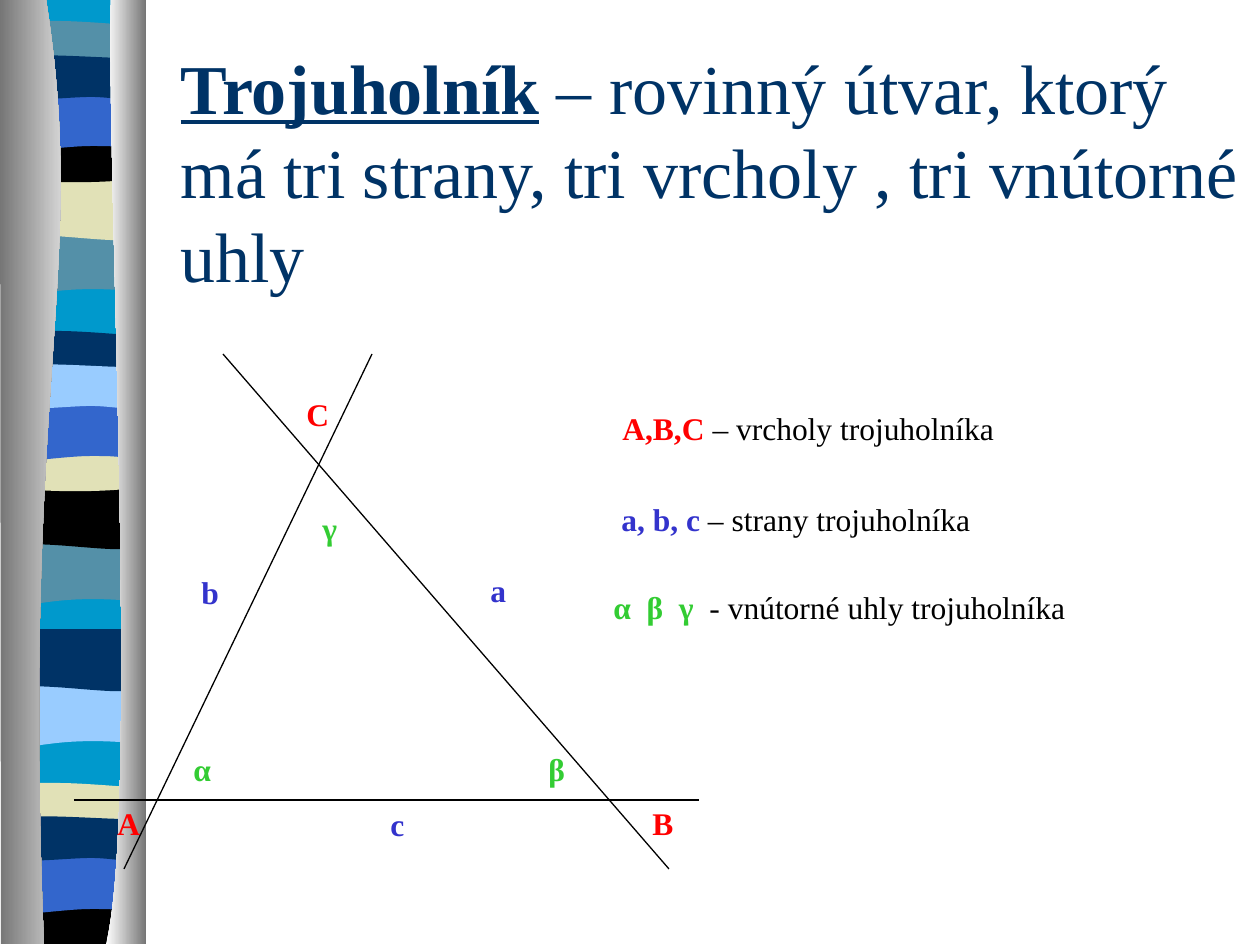
import pptx
import pptx.dml.color
import pptx.enum.shapes
import pptx.enum.text
import pptx.oxml
import pptx.oxml.ns
import pptx.util

RGBColor = pptx.dml.color.RGBColor
NAVY = RGBColor(0x00, 0x33, 0x66)
TEAL = RGBColor(0x54, 0x90, 0xA8)
CYAN = RGBColor(0x00, 0x99, 0xCC)
SKY = RGBColor(0x99, 0xCC, 0xFF)
BLUE = RGBColor(0x33, 0x66, 0xCC)
SAND = RGBColor(0xE1, 0xE1, 0xB7)
BLACK = RGBColor(0x00, 0x00, 0x00)
WHITE = RGBColor(0xFF, 0xFF, 0xFF)
GREY = RGBColor(0x76, 0x76, 0x76)
RED = RGBColor(0xFF, 0x00, 0x00)
INDIGO = RGBColor(0x33, 0x33, 0xCC)
GREEN = RGBColor(0x33, 0xCC, 0x33)

FONT = "Times New Roman"
PX = 914400 / 126

presentation = pptx.Presentation()
presentation.slide_width = round(1260 * PX)
presentation.slide_height = round(945 * PX)
slide = presentation.slides.add_slide(presentation.slide_layouts[5])
ribbon = slide.shapes.add_group_shape()
slide.shapes.title._element.addprevious(ribbon._element)


def add_outline(segments, top=0):
    """Add a closed shape; a segment is one point or three Bezier points."""
    points = [(round(x * PX), round((y + top) * PX)) for segment in segments for x, y in segment]
    builder = ribbon.shapes.build_freeform(*points[0], scale=1.0)
    builder.add_line_segments(points[1:], close=True)
    shape = builder.convert_to_shape()
    # Join the three points of each curve into one Bezier element
    lines = iter(shape._element.findall(".//" + pptx.oxml.ns.qn("a:lnTo")))
    for segment in segments[1:]:
        parts = [next(lines) for _ in segment]
        if len(parts) == 3:
            curve = pptx.oxml.parse_xml(f"<a:cubicBezTo {pptx.oxml.ns.nsdecls('a')}/>")
            parts[0].addprevious(curve)
            for part in parts:
                curve.append(part[0])
                part.getparent().remove(part)
    shape.shadow.inherit = False
    shape.line.fill.background()
    return shape


def add_run(paragraph, text, size, color, bold=False):
    run = paragraph.add_run()
    run.text = text
    run.font.name = FONT
    run.font.size = pptx.util.Pt(size)
    run.font.color.rgb = color
    run.font.bold = bold
    return run


# Ribbon of coloured bands: six outlines, each used at three heights
LEFT, RIGHT = 7, 143
base = add_outline([[(RIGHT, -1)], [(RIGHT, 941)], [(LEFT, 941)], [(LEFT, -1)]])
base.fill.solid()
base.fill.fore_color.rgb = CYAN

wave = [[(RIGHT, 0)], [(RIGHT, 59)], [(49, 49), (30, 69), (LEFT, 59)], [(LEFT, 0)]]
ramp = [[(RIGHT, 0)], [(RIGHT, 59)], [(121, 69), (49, 52), (LEFT, 59)], [(LEFT, 0)]]
lens = [[(RIGHT, 0)], [(RIGHT, 30)], [(121, 35), (30, 35), (LEFT, 30)], [(LEFT, 0)],
        [(15, -6), (37, -5), (59, -5)], [(82, -5), (126, -1), (RIGHT, 0)]]
bowl = [[(RIGHT, 0)], [(RIGHT, 41)], [(121, 48), (30, 48), (LEFT, 41)], [(LEFT, 0)],
        [(91, 6), (115, 0), (RIGHT, 0)]]
footing = [[(RIGHT, 0)], [(RIGHT, 47)], [(LEFT, 47)], [(LEFT, 0)],
           [(91, 6), (115, 0), (RIGHT, 0)]]
arch = [[(RIGHT, 0)], [(RIGHT, 59)], [(122, 53), (113, 53), (91, 53)],
        [(68, 53), (28, 59), (LEFT, 59)], [(LEFT, 0)]]
cap = [[(RIGHT, 0)], [(RIGHT, 39)], [(135, 45), (113, 39), (91, 39)],
       [(68, 39), (21, 45), (LEFT, 39)], [(LEFT, 0)],
       [(26, -6), (100, 0), (122, 0)], [(145, 0), (139, 0), (RIGHT, 0)]]
bands = [
    (wave, [(233, TEAL), (543, TEAL), (685, SKY)]),
    (ramp, [(178, SAND), (487, BLACK), (629, NAVY)]),
    (lens, [(26, TEAL), (336, NAVY), (788, SAND)]),
    (bowl, [(136, BLACK), (445, SAND)]),
    (footing, [(897, BLACK)]),
    (arch, [(93, BLUE), (403, BLUE), (856, BLUE)]),
    (cap, [(58, NAVY), (367, SKY), (819, NAVY)]),
]
for outline, places in bands:
    for top, color in places:
        band = add_outline(outline, top)
        band.fill.solid()
        band.fill.fore_color.rgb = color

# Grey curtains on both sides of the ribbon
curtains = [
    ([[(46, -1)], [(89, 272), (21, 373), (44, 944)], [(1, 944)], [(0, -1)]], GREY, WHITE),
    ([[(111, -1)], [(106, 158), (140, 814), (106, 944)], [(146, 944)], [(146, 0)]], WHITE, GREY),
]
for outline, start, end in curtains:
    curtain = add_outline(outline)
    curtain.fill.gradient()
    curtain.fill.gradient_angle = 0
    for stop, position, color in zip(curtain.fill.gradient_stops, (0, 1), (start, end)):
        stop.position = position
        stop.color.rgb = color

# Title
title = slide.shapes.title
title.left, title.top, title.width, title.height = (
    round(length * PX) for length in (168, 74, 1092, 193))
title.text_frame.word_wrap = True
title.text_frame.auto_size = pptx.enum.text.MSO_AUTO_SIZE.NONE
title.text_frame.vertical_anchor = pptx.enum.text.MSO_ANCHOR.MIDDLE
paragraph = title.text_frame.paragraphs[0]
paragraph.alignment = pptx.enum.text.PP_ALIGN.LEFT
paragraph.line_spacing = pptx.util.Pt(48)
add_run(paragraph, "Trojuholník", 40, NAVY, bold=True).font.underline = True
add_run(paragraph, " – rovinný útvar, ktorý má tri strany, tri vrcholy , tri vnútorné uhly", 40, NAVY)

# Lines that enclose the triangle
for ends in [(74, 800, 699, 800), (372, 354, 124, 869), (223, 354, 669, 869)]:
    side = slide.shapes.add_connector(pptx.enum.shapes.MSO_CONNECTOR.STRAIGHT,
                                      *(round(length * PX) for length in ends))
    side.line.color.rgb = BLACK
    side.line.width = pptx.util.Pt(0.75)
    side._element.spPr.append(pptx.oxml.parse_xml(
        f"<a:effectLst {pptx.oxml.ns.nsdecls('a')}/>"))

# Labels and legend: left, top, width, symbol, colour, explanation
labels = [
    (105, 798, 53, "A", RED, ""),
    (640, 798, 49, "B", RED, ""),
    (294, 389, 48, "C", RED, ""),
    (378, 799, 39, "c", INDIGO, ""),
    (478, 565, 40, "a", INDIGO, ""),
    (189, 567, 38, "b", INDIGO, ""),
    (181, 744, 50, "α", GREEN, ""),
    (536, 744, 50, "β", GREEN, ""),
    (310, 503, 49, "γ", GREEN, ""),
    (610, 403, 425, "A,B,C", RED, " – vrcholy trojuholníka"),
    (609, 494, 375, "a, b, c", INDIGO, " – strany trojuholníka"),
    (601, 582, 480, "α  β  γ", GREEN, "  - vnútorné uhly trojuholníka"),
]
for left, top, width, symbol, color, explanation in labels:
    label = slide.shapes.add_textbox(*(round(length * PX) for length in (left, top, width, 50)))
    label.text_frame.word_wrap = True
    paragraph = label.text_frame.paragraphs[0]
    add_run(paragraph, symbol, 18, color, bold=True)
    if explanation:
        add_run(paragraph, explanation, 18, BLACK)

presentation.save("out.pptx")
